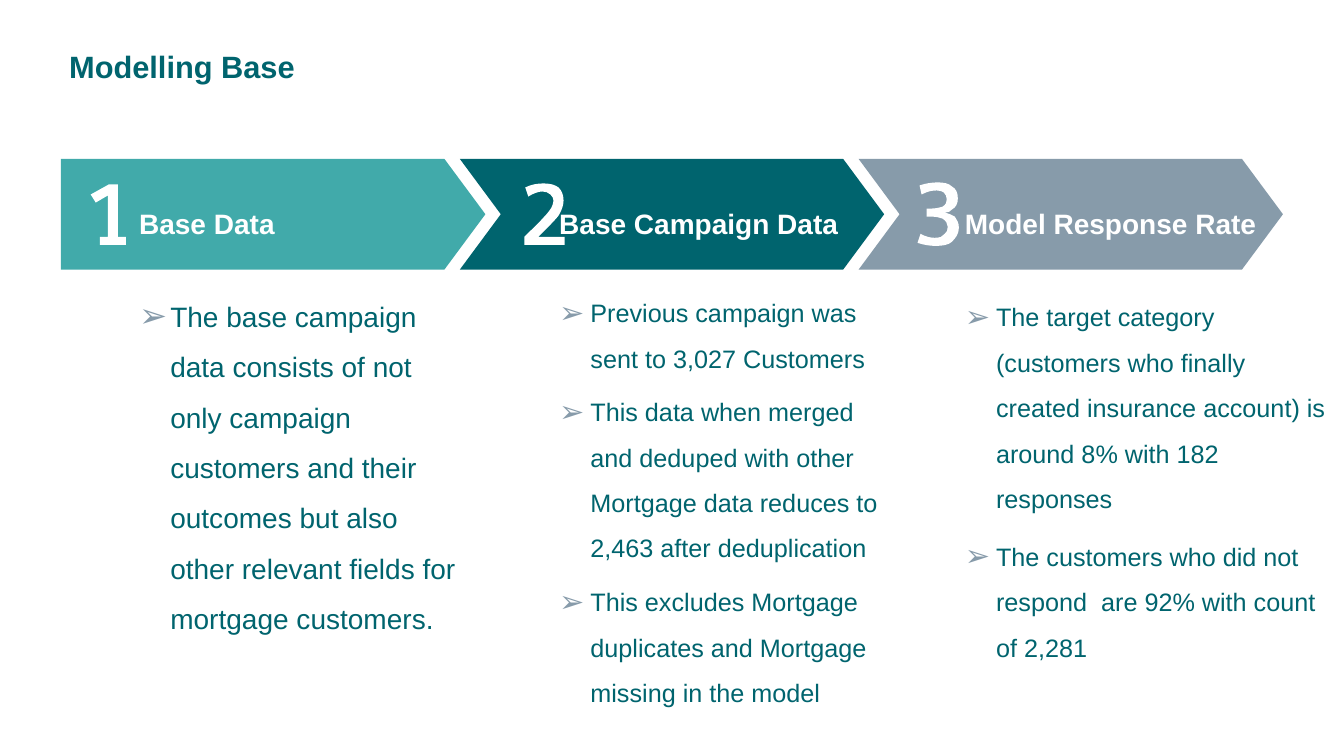
import pptx
import pptx.util
import pptx.dml.color
import pptx.enum.shapes
import pptx.enum.text
import lxml.etree

COLORS = {"teal": "00646E", "aqua": "41AAAA", "slate": "879BAA", "white": "FFFFFF"}
FONT = "Arial"
SHAPES = pptx.enum.shapes.MSO_SHAPE


def rgb(color):
    return pptx.dml.color.RGBColor.from_string(COLORS[color])


def add(parent, tag, **attributes):
    return lxml.etree.SubElement(parent, pptx.oxml.ns.qn(f"a:{tag}"), **attributes)


def write(paragraph, text, size=20, color="teal", bold=False, spacing=1.0, before=0, after=0, bullet=None):
    paragraph.alignment = pptx.enum.text.PP_ALIGN.LEFT
    paragraph.line_spacing = spacing
    paragraph.space_before = pptx.util.Pt(before)
    paragraph.space_after = pptx.util.Pt(after)
    run = paragraph.add_run()
    run.text = text
    run.font.name = FONT
    run.font.size = pptx.util.Pt(size)
    run.font.bold = bold
    run.font.color.rgb = rgb(color)
    if bullet:
        properties = paragraph._p.get_or_add_pPr()
        indent = pptx.util.Inches(0.31)
        properties.set("marL", str(indent))
        properties.set("indent", str(-indent))
        add(add(properties, "buClr"), "srgbClr", val=COLORS["slate"])
        add(properties, "buSzPct", val="120000")
        add(properties, "buFont", typeface=FONT)
        add(properties, "buChar", char=bullet)


class Deck:
    def __init__(self, width, height):
        self.presentation = pptx.Presentation()
        self.presentation.slide_width = pptx.util.Inches(width)
        self.presentation.slide_height = pptx.util.Inches(height)
        self.slide = self.presentation.slides.add_slide(self.presentation.slide_layouts[5])

    def x(self, percent):
        return round(self.presentation.slide_width * percent / 100)

    def y(self, percent):
        return round(self.presentation.slide_height * percent / 100)

    def box(self, left, top, width, height):
        return self.x(left), self.y(top), self.x(width), self.y(height)

    def frame(self, shape, left=0, top=0, right=0, bottom=0):
        frame = shape.text_frame
        frame.word_wrap = True
        frame.auto_size = pptx.enum.text.MSO_AUTO_SIZE.NONE
        frame.vertical_anchor = pptx.enum.text.MSO_ANCHOR.TOP
        frame.margin_left, frame.margin_right = self.x(left), self.x(right)
        frame.margin_top, frame.margin_bottom = self.y(top), self.y(bottom)
        return frame

    def paint(self, shape, color):
        shape.shadow.inherit = False
        shape.fill.solid()
        shape.fill.fore_color.rgb = rgb(color)
        shape.line.fill.background()

    def title(self, text, height):
        title = self.slide.shapes.title
        title.left, title.top, title.width, title.height = self.box(0, 0, 100, height)
        frame = self.frame(title, 5.15, 6.27, 22.5, 3.47)
        write(frame.paragraphs[0], text, size=22, bold=True)

    def banner(self, kind, bounds, color):
        banner = self.slide.shapes.add_shape(kind, *self.box(*bounds))
        banner.adjustments[0] = 0.37
        self.paint(banner, color)

    def numeral(self, outline, left, top):
        unit = pptx.util.Inches(0.01)

        def place(point):
            return self.x(left) + point[0] * unit, self.y(top) + point[1] * unit

        builder = self.slide.shapes.build_freeform(*place(outline[0]))
        builder.add_line_segments([place(segment[-2:]) for segment in outline[1:]], close=True)
        numeral = builder.convert_to_shape()
        self.paint(numeral, "white")
        lines = list(numeral._element.iter(pptx.oxml.ns.qn("a:lnTo")))
        for line, segment in zip(lines, outline[1:]):
            if len(segment) == 6:
                line.tag = pptx.oxml.ns.qn("a:cubicBezTo")
                line.remove(line[0])
                for start in (0, 2, 4):
                    px, py = place(segment[start:start + 2])
                    add(line, "pt", x=str(px - numeral.left), y=str(py - numeral.top))

    def column(self, bounds, heading, bullets, size, before):
        frame = self.frame(self.slide.shapes.add_textbox(*self.box(*bounds)), top=4.13)
        write(frame.paragraphs[0], heading, color="white", bold=True, spacing=1.5, before=9, after=24)
        for text in bullets:
            write(frame.add_paragraph(), text, size=size, spacing=1.5, before=before, bullet="\u27a2")


ONE = [(17, 54), (17, 13), (5, 20), (0, 12), (18, 2), (27, 2), (27, 54), (35, 54), (35, 62), (9, 62), (9, 54)]
TWO = [
    (0, 62), (0, 54), (8, 46, 14, 41, 18, 36), (23, 31, 25, 28, 27, 25),
    (28, 23, 29, 20, 29, 18), (29, 16, 28, 14, 26, 12), (24, 10, 21, 9, 18, 9),
    (14, 9, 9, 11, 4, 14), (1, 5), (7, 2, 13, 1, 19, 1), (25, 1, 30, 2, 34, 5),
    (37, 8, 39, 12, 39, 18), (39, 23, 37, 28, 34, 33), (30, 38, 23, 45, 14, 54),
    (40, 54), (40, 62),
]
THREE = [
    (0, 60), (3, 51), (8, 54, 13, 55, 17, 55), (22, 55, 25, 54, 27, 51),
    (29, 50, 30, 47, 30, 44), (30, 41, 28, 38, 25, 36), (22, 35, 19, 34, 14, 34),
    (13, 34, 11, 34, 9, 34), (9, 26), (10, 26, 12, 26, 13, 26), (18, 26, 22, 25, 25, 24),
    (28, 22, 29, 20, 29, 17), (29, 14, 28, 12, 26, 10), (25, 9, 22, 8, 19, 8),
    (14, 8, 10, 9, 4, 12), (2, 3), (8, 1, 14, 0, 20, 0), (26, 0, 31, 1, 34, 4),
    (38, 6, 40, 10, 40, 16), (40, 21, 38, 25, 34, 27), (33, 29, 30, 30, 27, 30),
    (31, 31, 34, 32, 37, 34), (39, 37, 41, 40, 41, 45), (41, 51, 38, 55, 34, 59),
    (31, 62, 25, 63, 18, 63), (12, 63, 6, 62, 0, 60),
]
STEPS = [
    (SHAPES.PENTAGON, "aqua", ONE, 6.75, 10.35, 24.23, 20, 6, "Base Data", [
        "The base campaign data consists of not only campaign customers and their outcomes "
        "but also other relevant fields for mortgage customers.",
    ]),
    (SHAPES.CHEVRON, "teal", TWO, 39.01, 41.61, 24.23, 18, 6, "Base Campaign Data", [
        "Previous campaign was sent to 3,027 Customers ",
        "This data when merged and deduped with other Mortgage data reduces to 2,463 after deduplication",
        "This excludes Mortgage duplicates and Mortgage missing in the model",
    ]),
    (SHAPES.CHEVRON, "slate", THREE, 68.27, 71.79, 26.86, 18, 9, "Model Response Rate", [
        "The target category (customers who finally created insurance account) is around 8% with 182 responses",
        "The customers who did not respond  are 92% with count of 2,281",
    ]),
]
BAND_TOP, BAND_HEIGHT, BAND_LEFT, BAND_WIDTH, PITCH = 21, 14.67, 4.54, 31.58, 29.67

deck = Deck(13.33, 7.5)
deck.title("Modelling Base", BAND_TOP)
for index, (kind, color, *_) in reversed(list(enumerate(STEPS))):
    deck.banner(kind, (BAND_LEFT + index * PITCH, BAND_TOP, BAND_WIDTH, BAND_HEIGHT), color)
for _, _, outline, numeral_left, text_left, text_width, size, before, heading, bullets in STEPS:
    deck.column((text_left, BAND_TOP, text_width, 52.67), heading, bullets, size, before)
    deck.numeral(outline, numeral_left, 24.13)
deck.presentation.save("out.pptx")
